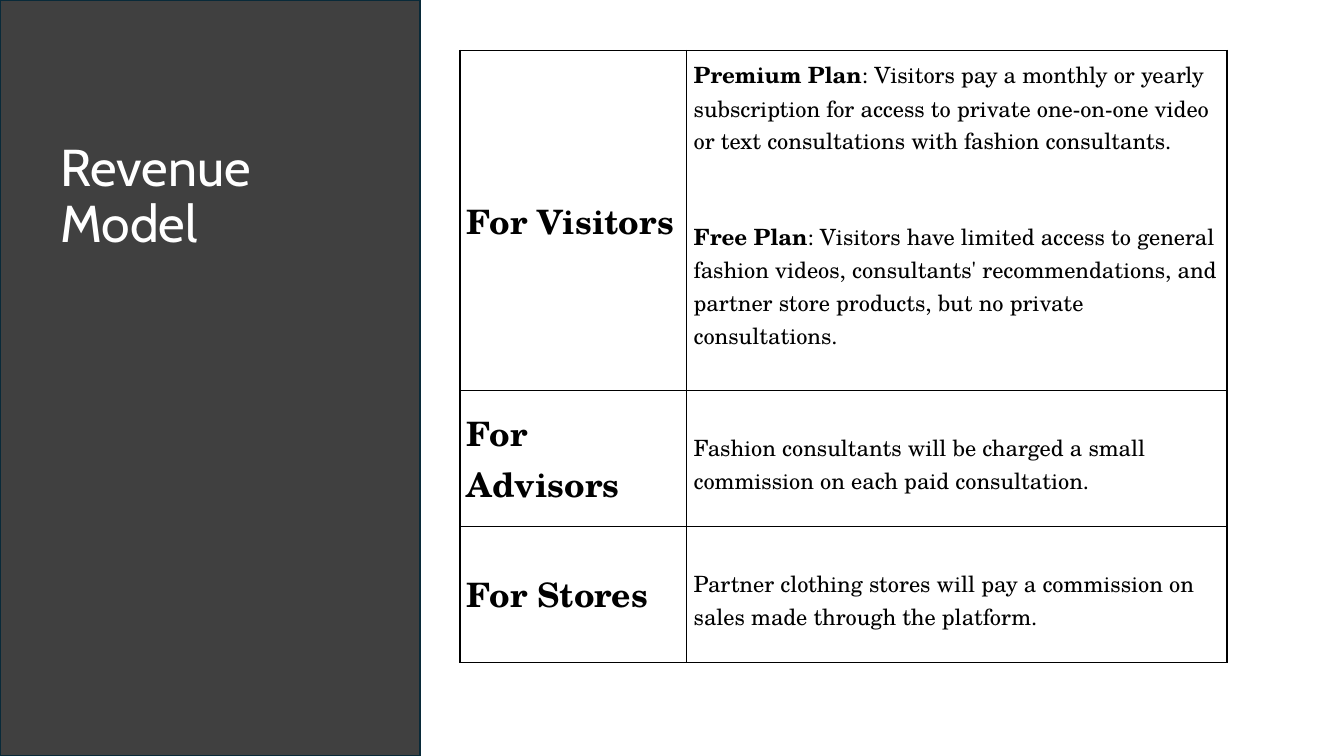
from lxml import etree
from pptx import Presentation
from pptx import util as u
from pptx.dml.color import RGBColor
from pptx.enum import shapes, text
from pptx.oxml.ns import qn

BODY_FONT = "TeX Gyre Schola"
HEADING = {"name": BODY_FONT, "size": u.Pt(24), "bold": True}
BODY = {"name": BODY_FONT, "size": u.Pt(16), "bold": False}
TERM = {**BODY, "bold": True}
TITLE = {"name": "Cabin", "size": u.Pt(37), "bold": False}
INSET = 5
PLAN_GAP = 44
BODY_TOP = 29

ROWS = [
    (243, "For Visitors", INSET, [
        [("Premium Plan", TERM),
         (": Visitors pay a monthly or yearly subscription for access to private "
          "one-on-one video or text consultations with fashion consultants.", BODY)],
        [("Free Plan", TERM),
         (": Visitors have limited access to general fashion videos, consultants' "
          "recommendations, and partner store products, but no private consultations.", BODY)],
    ]),
    (97, "For Advisors", BODY_TOP, [
        [("Fashion consultants will be charged a small commission on each paid "
          "consultation.", BODY)],
    ]),
    (97, "For Stores", BODY_TOP, [
        [("Partner clothing stores will pay a commission on sales made through the "
          "platform.", BODY)],
    ]),
]


def colour(value):
    return RGBColor.from_string(value)


def assign(target, values):
    for name, value in values.items():
        setattr(target, name, value)


class Deck:
    """Holds the style and current slide, and draws each kind of element."""

    def __init__(self, width, height):
        self.prs = Presentation()
        assign(self.prs, {"slide_width": u.Pt(width), "slide_height": u.Pt(height)})
        self.ink = "000000"
        self.s = self.prs.slides.add_slide(self.prs.slide_layouts[5])

    def fill_text(self, tf, paragraphs, ink, gap=0, **para):
        for i, runs in enumerate(paragraphs):
            p = tf.paragraphs[0] if i == 0 else tf.add_paragraph()
            assign(p, {"alignment": text.PP_ALIGN.LEFT, **para})
            if i:
                p.space_before = u.Pt(gap)
            for words, fmt in runs:
                r = p.add_run()
                r.text = words
                assign(r.font, fmt)
                r.font.color.rgb = colour(ink)

    def panel(self, x, y, w, h, fill, line, weight):
        sp = self.s.shapes.add_shape(shapes.MSO_SHAPE.RECTANGLE, *map(u.Pt, (x, y, w, h)))
        sp.shadow.inherit = False
        sp.fill.solid()
        sp.fill.fore_color.rgb = colour(fill)
        sp.line.color.rgb = colour(line)
        sp.line.width = u.Pt(weight)
        self.s.shapes.element.insert(2, sp.element)

    def title(self, words, x, y, w, h, ink):
        sp = self.s.shapes.title
        assign(sp, dict(zip(("left", "top", "width", "height"), map(u.Pt, (x, y, w, h)))))
        assign(sp.text_frame, {"word_wrap": True, "vertical_anchor": text.MSO_ANCHOR.TOP,
                               "auto_size": text.MSO_AUTO_SIZE.NONE})
        self.fill_text(sp.text_frame, [[(words, TITLE)]], ink, line_spacing=0.9)

    def border(self, cell):
        props = cell._tc.get_or_add_tcPr()
        for i, side in enumerate(("lnL", "lnR", "lnT", "lnB")):
            ln = etree.Element(qn(f"a:{side}"), w=str(u.Pt(1)))
            fill = etree.SubElement(ln, qn("a:solidFill"))
            etree.SubElement(fill, qn("a:srgbClr"), val=self.ink)
            props.insert(i, ln)

    def cell(self, cell, paragraphs, anchor, top=INSET):
        assign(cell, {"vertical_anchor": anchor, "margin_top": u.Pt(top),
                      **{f"margin_{side}": u.Pt(INSET) for side in ("left", "right", "bottom")}})
        cell.fill.background()
        self.border(cell)
        self.fill_text(cell.text_frame, paragraphs, self.ink, PLAN_GAP)

    def table(self, x, y, widths, rows):
        height = sum(row[0] for row in rows)
        frame = self.s.shapes.add_table(len(rows), len(widths),
                                        *map(u.Pt, (x, y, sum(widths), height)))
        tbl = frame.table
        assign(tbl, {"first_row": False, "horz_banding": False})
        for column, width in zip(tbl.columns, widths):
            column.width = u.Pt(width)
        for i, (row_height, heading, top, paragraphs) in enumerate(rows):
            tbl.rows[i].height = u.Pt(row_height)
            self.cell(tbl.cell(i, 0), [[(heading, HEADING)]], text.MSO_ANCHOR.MIDDLE)
            self.cell(tbl.cell(i, 1), paragraphs, text.MSO_ANCHOR.TOP, top)


def main():
    deck = Deck(960, 540)
    deck.panel(0, 0, 300, 540, "404040", "092A39", 1.5)
    deck.title("Revenue Model", 36, 98, 228, 343, "FFFFFF")
    deck.table(328.5, 36, (162, 386), ROWS)
    deck.prs.save("out.pptx")


if __name__ == "__main__":
    main()
